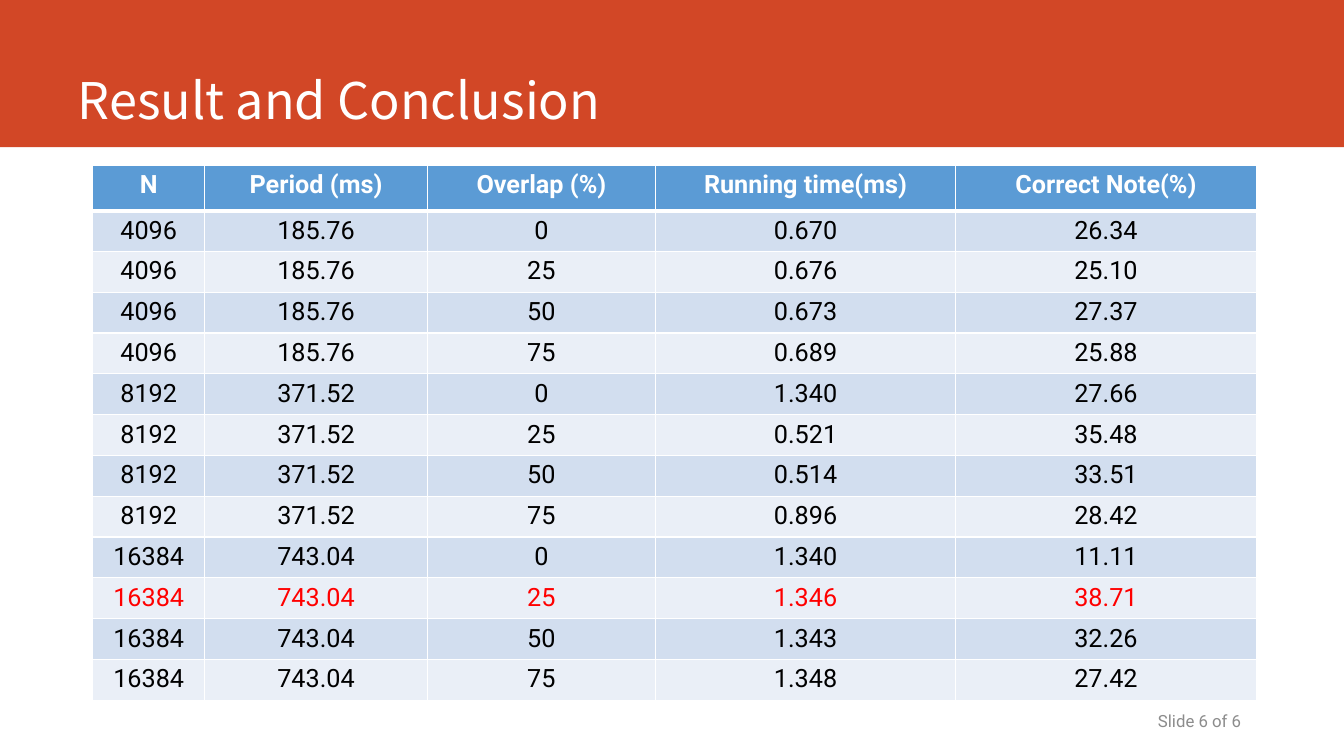
from lxml import etree
from pptx import Presentation
from pptx.dml.color import RGBColor
from pptx.enum.shapes import MSO_SHAPE
from pptx.enum.text import MSO_ANCHOR, MSO_AUTO_SIZE, PP_ALIGN
from pptx.oxml.ns import qn
from pptx.util import Inches, Pt

TITLE = "Result and Conclusion"
FOOTER = "Slide 6 of 6"
HEADERS = ("N", "Period (ms)", "Overlap (%)", "Running time(ms)", "Correct Note(%)")
OVERLAPS = ("0", "25", "50", "75")
GROUPS = (
    ("4096", "185.76", (("0.670", "26.34"), ("0.676", "25.10"),
                        ("0.673", "27.37"), ("0.689", "25.88"))),
    ("8192", "371.52", (("1.340", "27.66"), ("0.521", "35.48"),
                        ("0.514", "33.51"), ("0.896", "28.42"))),
    ("16384", "743.04", (("1.340", "11.11"), ("1.346", "38.71"),
                         ("1.343", "32.26"), ("1.348", "27.42"))),
)
BEST = ("16384", "25")

WHITE = RGBColor(0xFF, 0xFF, 0xFF)
BLACK = RGBColor(0x00, 0x00, 0x00)
RED = RGBColor(0xFF, 0x00, 0x00)
GREY = RGBColor(0x8C, 0x8C, 0x8C)
ORANGE = RGBColor(0xD2, 0x47, 0x26)
BLUE = RGBColor(0x5B, 0x9B, 0xD5)
BANDS = (RGBColor(0xD2, 0xDE, 0xEF), RGBColor(0xEA, 0xEF, 0xF7))

LEFT, CENTER, RIGHT = PP_ALIGN.LEFT, PP_ALIGN.CENTER, PP_ALIGN.RIGHT
BOTTOM, MIDDLE = MSO_ANCHOR.BOTTOM, MSO_ANCHOR.MIDDLE
NO_FIT = MSO_AUTO_SIZE.NONE
RECTANGLE = MSO_SHAPE.RECTANGLE

PAGE_WIDTH, PAGE_HEIGHT, BAND_HEIGHT = 13.33, 7.5, 1.46
TABLE_LEFT, TABLE_TOP, TABLE_HEIGHT = 0.92, 1.64, 5.31
COLUMN_WIDTHS = (1.11, 2.21, 2.26, 2.98, 2.98)
HEADER_HEIGHT = 0.45


def inches(*lengths):
    return [Inches(length) for length in lengths]


def write(frame, text, align, **format_values):
    para = frame.paragraphs[0]
    para.alignment = align
    span = para.add_run()
    span.text = text
    span.font.color.rgb = format_values.pop("color")
    for name, value in format_values.items():
        setattr(span.font, name, value)


def place_text(box, area, anchor, text, align, **format_values):
    box.left, box.top, box.width, box.height = inches(*area)
    frame = box.text_frame
    for name, value in {"word_wrap": True, "auto_size": NO_FIT,
                        "vertical_anchor": anchor}.items():
        setattr(frame, name, value)
    write(frame, text, align, **format_values)


def set_borders(cell, widths):
    properties = cell._tc.get_or_add_tcPr()
    for position, (side, width) in enumerate(widths.items()):
        line = etree.Element(qn(f"a:{side}"), w=str(Pt(width)))
        fill = etree.SubElement(line, qn("a:solidFill"))
        etree.SubElement(fill, qn("a:srgbClr"), val=str(WHITE))
        properties.insert(position, line)


deck = Presentation()
deck.slide_width, deck.slide_height = inches(PAGE_WIDTH, PAGE_HEIGHT)
page = deck.slides.add_slide(deck.slide_layouts[5])

band = page.shapes.add_shape(RECTANGLE, *inches(0, 0, PAGE_WIDTH, BAND_HEIGHT))
band.shadow.inherit = False
band.fill.solid()
band.fill.fore_color.rgb = ORANGE
band.line.fill.background()
title = page.shapes.title
title._element.addprevious(band._element)

place_text(title, (0.67, 0, 11.75, 1.34), BOTTOM, TITLE, LEFT,
           size=Pt(36), name="Noto Sans CJK TC", color=WHITE)
place_text(page.shapes.add_textbox(0, 0, 0, 0), (8.83, 6.95, 3.58, 0.4), MIDDLE,
           FOOTER, RIGHT, size=Pt(12), name="Roboto", color=GREY)

rows = [HEADERS] + [(n, period, overlap, *results)
                    for n, period, measured in GROUPS
                    for overlap, results in zip(OVERLAPS, measured)]
table = page.shapes.add_table(
    len(rows), len(HEADERS),
    *inches(TABLE_LEFT, TABLE_TOP, sum(COLUMN_WIDTHS), TABLE_HEIGHT)).table
for column, width in zip(table.columns, COLUMN_WIDTHS):
    column.width = Inches(width)

body_height = (TABLE_HEIGHT - HEADER_HEIGHT) / (len(rows) - 1)
for index, values in enumerate(rows):
    is_header = index == 0
    table.rows[index].height = Inches(HEADER_HEIGHT if is_header else body_height)
    fill_color = BLUE if is_header else BANDS[(index - 1) % 2]
    is_best = (values[0], values[2]) == BEST
    text_color = WHITE if is_header else RED if is_best else BLACK
    borders = {"lnL": 1, "lnR": 1, "lnT": 3 if index == 1 else 1,
               "lnB": 3 if is_header else 1}
    for cell, value in zip(table.rows[index].cells, values):
        cell.fill.solid()
        cell.fill.fore_color.rgb = fill_color
        set_borders(cell, borders)
        write(cell.text_frame, value, CENTER, size=Pt(18), name="Roboto",
              bold=is_header, color=text_color)

deck.save("out.pptx")
